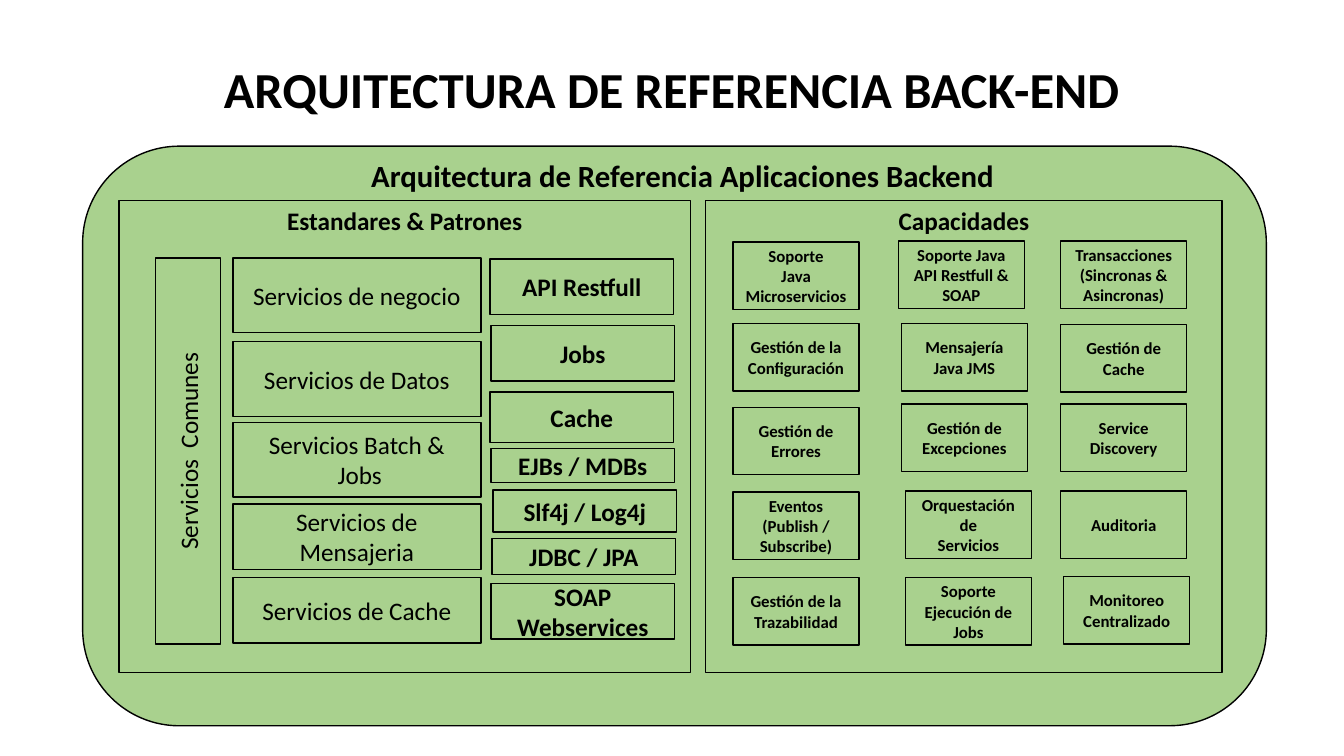
"""Build the back-end reference architecture slide."""
from pptx import Presentation
from pptx.dml.color import RGBColor
from pptx.enum.shapes import MSO_SHAPE as Shape
from pptx.enum.text import MSO_ANCHOR as Anchor, MSO_AUTO_SIZE as Auto, PP_ALIGN as Align
from pptx.util import Inches, Pt

BLACK = RGBColor(0, 0, 0)
GREEN = RGBColor(0xA9, 0xD1, 0x8E)
FONT = "Calibri"

TITLE = "ARQUITECTURA DE REFERENCIA BACK-END"
HEAD = "Arquitectura de Referencia Aplicaciones Backend"
PANELS = [
    ("Estandares & Patrones", 1.18, 5.67),
    ("Capacidades", 7, 5.12),
]
COMMON = "Servicios  Comunes"
SERVICES = [
    ("Servicios de negocio", 2.56, 0.74),
    ("Servicios de Datos", 3.39, 0.74),
    ("Servicios Batch &\n Jobs", 4.19, 0.74),
    ("Servicios de Mensajeria", 5, 0.65),
    ("Servicios de Cache", 5.73, 0.65),
]
PATTERNS = [
    ("API Restfull", 4.86, 2.57, 0.55),
    ("Jobs", 4.87, 3.23, 0.55),
    ("Cache", 4.86, 3.89, 0.5),
    ("EJBs / MDBs", 4.87, 4.45, 0.34),
    ("Slf4j / Log4j", 4.89, 4.86, 0.42),
    ("JDBC / JPA", 4.88, 5.34, 0.36),
    ("SOAP Webservices", 4.87, 5.79, 0.55),
]
SKILLS = [
    ("Soporte\nJava Microservicios", 7.27, 2.4),
    ("Soporte Java API Restfull & SOAP", 8.91, 2.39),
    ("Transacciones (Sincronas & Asincronas)", 10.52, 2.39),
    ("Gestión de la Configuración", 7.27, 3.21),
    ("Mensajería\nJava JMS", 8.94, 3.21),
    ("Gestión de Cache", 10.52, 3.22),
    ("Gestión de Errores", 7.27, 4.04),
    ("Gestión de Excepciones", 8.94, 4.01),
    ("Service\nDiscovery", 10.52, 4.01),
    ("Eventos\n(Publish / Subscribe)", 7.27, 4.88),
    ("Orquestación de\nServicios", 8.98, 4.87),
    ("Auditoria", 10.52, 4.87),
    ("Gestión de la Trazabilidad", 7.27, 5.73),
    ("Soporte Ejecución de Jobs", 8.98, 5.73),
    ("Monitoreo\nCentralizado", 10.55, 5.72),
]


def write(shape, text, size, bold=True, anchor=Anchor.MIDDLE, wrap=True):
    """Put centred black text into a shape."""
    frame = shape.text_frame
    frame.text = text
    frame.word_wrap = wrap
    frame.auto_size = Auto.NONE
    frame.vertical_anchor = anchor
    for para in frame.paragraphs:
        para.alignment = Align.CENTER
        font = para.font
        font.name, font.size, font.bold = FONT, Pt(size), bold
        font.color.rgb = BLACK


def box(left, top, width, height, kind=Shape.RECTANGLE, fill=None):
    """Add an outlined shape, hollow unless a fill is given."""
    shape = slide.shapes.add_shape(kind, *map(Inches, (left, top, width, height)))
    shape.shadow.inherit = False
    shape.line.color.rgb = BLACK
    shape.line.width = Pt(1)
    if fill is None:
        shape.fill.background()
    else:
        shape.fill.solid()
        shape.fill.fore_color.rgb = fill
    return shape


deck = Presentation()
deck.slide_width, deck.slide_height = Inches(13.33), Inches(7.5)
slide = deck.slides.add_slide(deck.slide_layouts[5])

title = slide.shapes.title
title.left, title.top, title.width, title.height = map(Inches, (2.07, 0.53, 9.19, 0.71))
write(title, TITLE, 36, anchor=Anchor.TOP, wrap=False)

box(0.82, 1.45, 11.74, 5.75, Shape.ROUNDED_RECTANGLE, GREEN)
head = slide.shapes.add_textbox(*map(Inches, (3.54, 1.51, 6.46, 0.47)))
write(head, HEAD, 22, anchor=Anchor.TOP, wrap=False)

for text, left, width in PANELS:
    write(box(left, 1.99, width, 4.68), text, 18, anchor=Anchor.TOP)

common = box(-0.05, 4.15, 3.83, 0.65)
common.rotation = 270
write(common, COMMON, 18, bold=False)

for text, top, height in SERVICES:
    write(box(2.31, top, 2.46, height), text, 18, bold=False)
for text, left, top, height in PATTERNS:
    write(box(left, top, 1.82, height), text, 18)
for text, left, top in SKILLS:
    write(box(left, top, 1.25, 0.67), text, 12)

deck.save("out.pptx")
